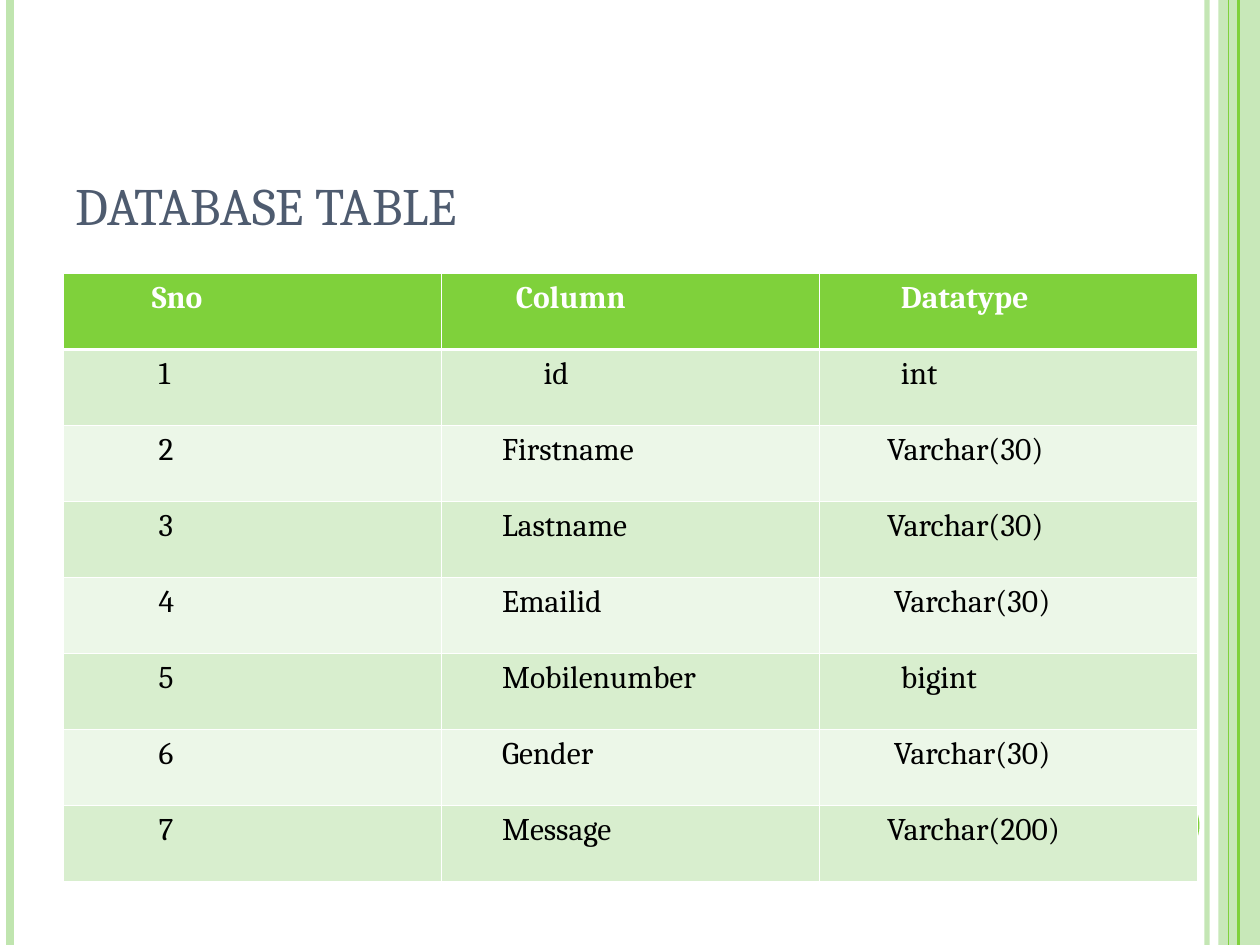
import pptx
import pptx.util
import pptx.dml.color
import pptx.enum.shapes
import pptx.enum.text
import pptx.oxml
import pptx.oxml.ns
import lxml.etree

Inches, Pt = pptx.util.Inches, pptx.util.Pt
Shape = pptx.enum.shapes.MSO_SHAPE
Anchor = pptx.enum.text.MSO_ANCHOR
qn = pptx.oxml.ns.qn
rgb = pptx.dml.color.RGBColor.from_string
GREEN, PALE, WHITE = "7FD13B", "C0E5AF", "FFFFFF"
STEP = 0.055  # one indent step, in inches


def write(frame, text, size=18, color="000000", bold=False):
    frame.text = text
    font = frame.paragraphs[0].runs[0].font
    font.name, font.size, font.bold = "Cambria", Pt(size), bold
    font.color.rgb = rgb(color)


def fade(part, share):
    """Set the opacity, in percent, of the solid colour inside part."""
    tint = next(part.iter(qn("a:srgbClr")))
    lxml.etree.SubElement(tint, qn("a:alpha")).set("val", str(share * 1000))


deck = pptx.Presentation()
deck.slide_width, deck.slide_height = Inches(10), Inches(7.5)
slide = deck.slides.add_slide(deck.slide_layouts[5])
shapes = slide.shapes

# Side stripes and the round badge
rules = [(9.58, PALE, 3, 93), (0.08, PALE, 4.5, 100),
         (9.83, GREEN, 1.5, 100), (9.75, GREEN, 0.75, 100)]
blocks = [(Shape.RECTANGLE, 9.67, 0, 0.33, 7.5, PALE, 87),
          (Shape.OVAL, 8.92, 6.25, 0.6, 0.6, GREEN, 100)]
for kind, left, top, width, height, color, share in blocks:
    block = shapes.add_shape(kind, Inches(left), Inches(top),
                             Inches(width), Inches(height))
    block.shadow.inherit = False
    block.fill.solid()
    block.fill.fore_color.rgb = rgb(color)
    block.line.fill.background()
    if share < 100:
        fade(block.fill._xPr, share)
for left, color, width, share in rules:
    rule = shapes.add_connector(pptx.enum.shapes.MSO_CONNECTOR.STRAIGHT,
                                Inches(left), 0, Inches(left), Inches(7.5))
    rule.line.color.rgb = rgb(color)
    rule.line.width = Pt(width)
    if share < 100:
        fade(rule.line._ln, share)
    lxml.etree.SubElement(rule._element.spPr, qn("a:effectLst"))

title = shapes.title
title.left, title.top = Inches(0.5), Inches(0.42)
title.width, title.height = Inches(9), Inches(1.5)
write(title.text_frame, "DATABASE TABLE", size=30, color="4E5B6F")
title.text_frame.vertical_anchor = Anchor.BOTTOM
title.text_frame.paragraphs[0].alignment = pptx.enum.text.PP_ALIGN.LEFT

# Each cell: text and its number of indent steps
rows = [
    [("Sno", 11), ("Column", 9), ("Datatype", 10)],
    [("1", 12), ("id", 13), ("int", 10)],
    [("2", 12), ("Firstname", 7), ("Varchar(30)", 8)],
    [("3", 12), ("Lastname", 7), ("Varchar(30)", 8)],
    [("4", 12), ("Emailid", 7), ("Varchar(30)", 9)],
    [("5", 12), ("Mobilenumber", 7), ("bigint", 10)],
    [("6", 12), ("Gender", 7), ("Varchar(30)", 9)],
    [("7", 12), ("Message", 7), ("Varchar(200)", 8)],
]
table = shapes.add_table(len(rows), 3, Inches(0.5), Inches(2.17),
                         Inches(9), Inches(4.83)).table
for r, row in enumerate(rows):
    head = r == 0
    fill = GREEN if head else ("ECF7E8", "D8EECE")[r % 2]
    for c, (text, steps) in enumerate(row):
        cell = table.cell(r, c)
        write(cell.text_frame, text, color=WHITE if head else "000000", bold=head)
        cell.margin_left = Inches(0.1 + steps * STEP)
        cell.fill.solid()
        cell.fill.fore_color.rgb = rgb(fill)
        props = cell._tc.get_or_add_tcPr()
        for i, side in enumerate(("lnL", "lnR", "lnT", "lnB")):
            thick = (r, side) in ((0, "lnB"), (1, "lnT"))
            edge = pptx.oxml.parse_xml(
                f'<a:{side} {pptx.oxml.ns.nsdecls("a")} w="{Pt(1.47 if thick else 0.45)}">'
                f'<a:solidFill><a:srgbClr val="{WHITE}"/></a:solidFill></a:{side}>')
            props.insert(i, edge)

deck.save("out.pptx")
